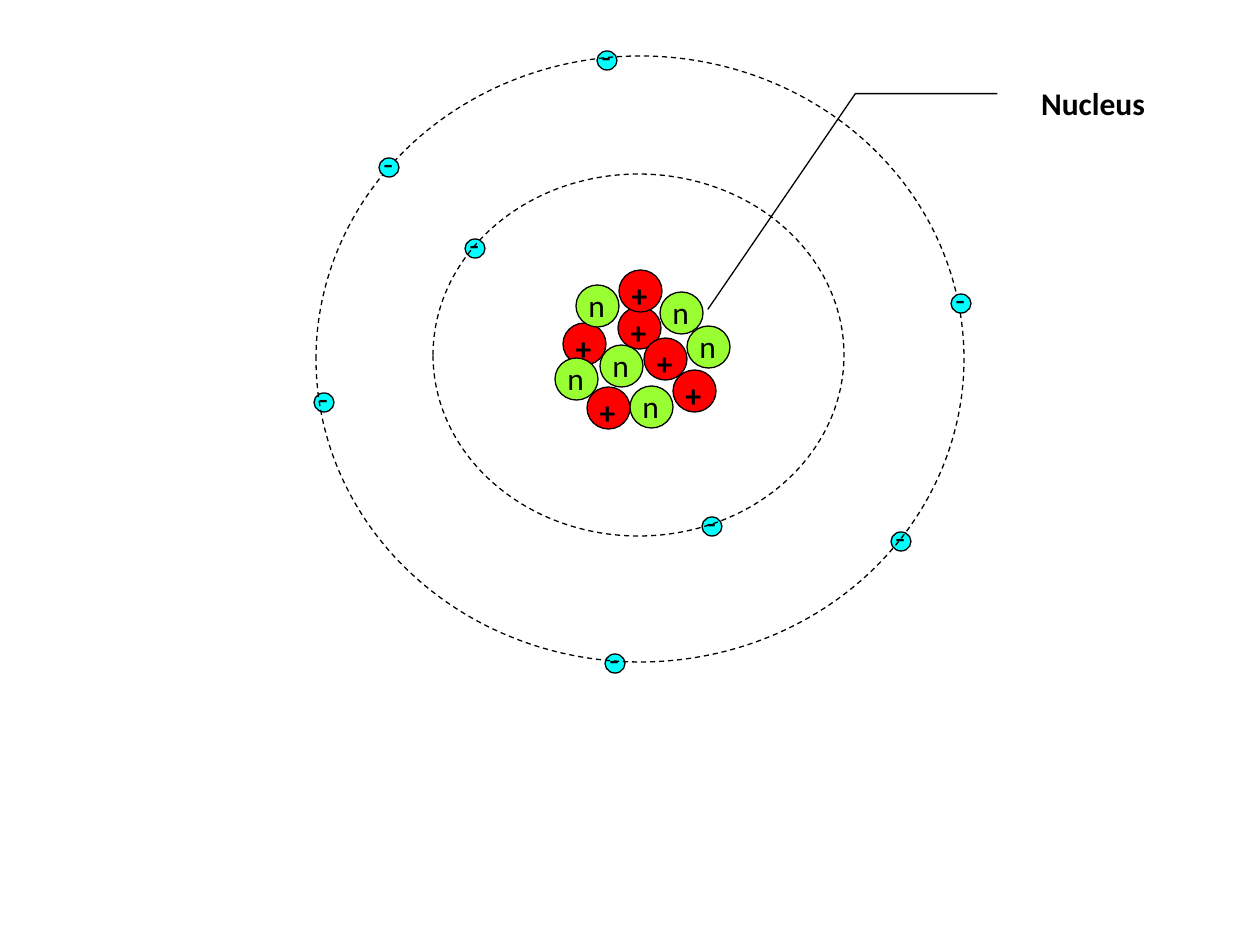
from pptx import Presentation
from pptx.dml.color import RGBColor
from pptx.enum import dml, shapes, text
from pptx.util import Pt

PX = 914400 / 126
BLACK = RGBColor(0, 0, 0)
RED = RGBColor(0xFF, 0, 0)
GREEN = RGBColor(0x99, 0xFF, 0x33)
CYAN = RGBColor(0, 0xFF, 0xFF)

# Label as (text, bold) spans; label offset is measured from the ball's corner.
KINDS = {
    "proton": dict(size=(43, 42), fill=RED, spans=[(" ", False), ("+", True)],
                   offset=(-7, 0), label_size=(54, 50)),
    "neutron": dict(size=(43, 42), fill=GREEN, spans=[("n", False)],
                    offset=(0, -5), label_size=(54, 50)),
    "electron": dict(size=(20, 19), fill=CYAN, spans=[("-", False)],
                     offset=(-8, -20), label_size=(49, 50)),
}
NUCLEUS = [
    ("proton", 587, 387), ("neutron", 600, 345), ("proton", 563, 323),
    ("proton", 618, 307), ("proton", 644, 338), ("proton", 673, 370),
    ("proton", 619, 270), ("neutron", 687, 326), ("neutron", 630, 386),
    ("neutron", 555, 358), ("neutron", 576, 285), ("neutron", 660, 292),
]
ELECTRONS_BEHIND = [(465, 239), (597, 51), (891, 532),
                    (314, 393), (605, 654), (702, 517)]
ELECTRONS_IN_FRONT = [(379, 158), (951, 294)]
ORBITS = [(433, 174, 411, 362), (316, 56, 648, 606)]
CALLOUT = (1008, 78, 170, 50)
CALLOUT_POINTS = [0.314, -0.062, 0.314, -0.898, 4.629, -1.766]


def emu(*lengths):
    return [round(length * PX) for length in lengths]


def add_outlined(parent, preset, area, fill=None, dash=None):
    shape = parent.add_shape(preset, *emu(*area))
    shape.shadow.inherit = False
    if fill is None:
        shape.fill.background()
    else:
        shape.fill.solid()
        shape.fill.fore_color.rgb = fill
    shape.line.color.rgb = BLACK
    shape.line.width = Pt(0.75)
    if dash is not None:
        shape.line.dash_style = dash
    return shape


def write(para, content, bold=False, size=18, font="Calibri", color=BLACK):
    span = para.add_run()
    span.text = content
    span.font.size = Pt(size)
    span.font.name = font
    span.font.bold = bold
    span.font.color.rgb = color


def add_particle(page, kind, left, top):
    """Group a ball with the text box that holds its charge sign."""
    look = KINDS[kind]
    group = page.shapes.add_group_shape()
    add_outlined(group.shapes, shapes.MSO_SHAPE.OVAL,
                 (left, top, *look["size"]), look["fill"])
    dx, dy = look["offset"]
    box = group.shapes.add_textbox(*emu(left + dx, top + dy, *look["label_size"]))
    box.text_frame.word_wrap = True
    box.text_frame.auto_size = text.MSO_AUTO_SIZE.SHAPE_TO_FIT_TEXT
    for content, bold in look["spans"]:
        write(box.text_frame.paragraphs[0], content, bold=bold)


def add_callout(page):
    callout = add_outlined(page.shapes, shapes.MSO_SHAPE.LINE_CALLOUT_2_NO_BORDER,
                           CALLOUT)
    for index, value in enumerate(CALLOUT_POINTS):
        callout.adjustments[index] = value
    frame = callout.text_frame
    frame.vertical_anchor = text.MSO_ANCHOR.TOP
    para = frame.paragraphs[0]
    para.alignment = text.PP_ALIGN.CENTER
    write(para, "Nucleus", bold=True)


def main():
    deck = Presentation()
    deck.slide_width, deck.slide_height = emu(1260, 945)
    page = deck.slides.add_slide(deck.slide_layouts[6])
    for kind, left, top in NUCLEUS:
        add_particle(page, kind, left, top)
    for left, top in ELECTRONS_BEHIND:
        add_particle(page, "electron", left, top)
    for orbit in ORBITS:
        add_outlined(page.shapes, shapes.MSO_SHAPE.OVAL, orbit,
                     dash=dml.MSO_LINE.DASH)
    add_callout(page)
    for left, top in ELECTRONS_IN_FRONT:
        add_particle(page, "electron", left, top)
    deck.save("out.pptx")


if __name__ == "__main__":
    main()
